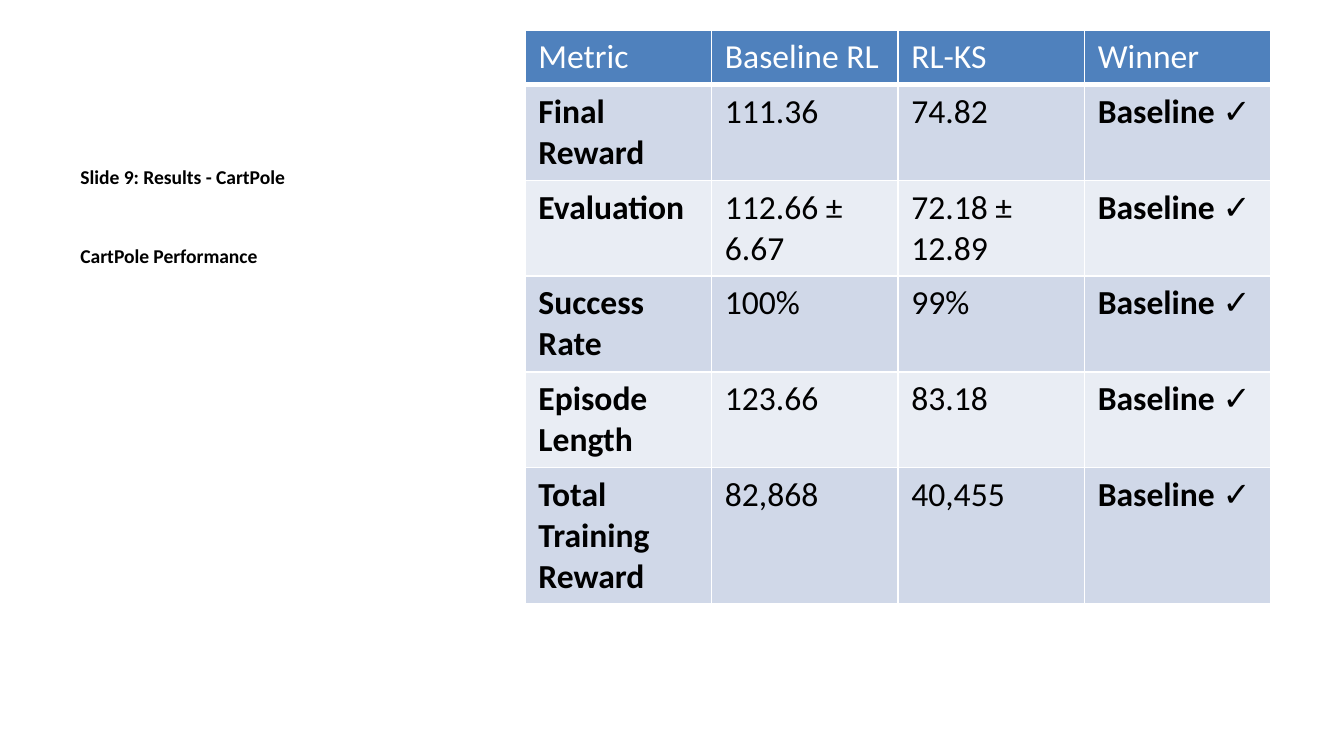
from lxml import etree
from pptx import Presentation
from pptx.dml.color import RGBColor
from pptx.enum.text import MSO_ANCHOR, PP_ALIGN
from pptx.oxml.ns import qn
from pptx.util import Pt

TOP, LEFT = MSO_ANCHOR.TOP, PP_ALIGN.LEFT
PX = 914400 / 134.4
FONT = "Calibri"
COLORS = {
    "text": "000000",
    "header": "4F81BD",
    "band_dark": "D0D8E8",
    "band_light": "E9EDF4",
    "white": "FFFFFF",
}
HEADINGS = ["Slide 9: Results - CartPole", "CartPole Performance"]
ROWS = [
    ("Metric", "Baseline RL", "RL-KS", "Winner"),
    ("Final Reward", "111.36", "74.82", "Baseline ✓"),
    ("Evaluation", "112.66 ± 6.67", "72.18 ± 12.89", "Baseline ✓"),
    ("Success Rate", "100%", "99%", "Baseline ✓"),
    ("Episode Length", "123.66", "83.18", "Baseline ✓"),
    ("Total Training Reward", "82,868", "40,455", "Baseline ✓"),
]
ROW_HEIGHTS = [54, 96, 95, 96, 95, 136]


def px(n):
    return round(n * PX)


def rgb(name):
    return RGBColor.from_string(COLORS[name])


def add_run(p, text, size, color, bold):
    r = p.add_run()
    r.text = text
    r.font.name = FONT
    r.font.size = Pt(size)
    r.font.bold = bold
    r.font.color.rgb = rgb(color)


def set_borders(cell, bottom):
    tcPr = cell._tc.get_or_add_tcPr()
    widths = {"a:lnL": 1, "a:lnR": 1, "a:lnT": 1, "a:lnB": bottom}
    for i, (tag, width) in enumerate(widths.items()):
        ln = etree.Element(qn(tag), w=str(Pt(width)))
        fill = etree.SubElement(ln, qn("a:solidFill"))
        etree.SubElement(fill, qn("a:srgbClr"), val=COLORS["white"])
        tcPr.insert(i, ln)


def add_headings(body, x, y, w, h):
    body.left, body.top, body.width, body.height = px(x), px(y), px(w), px(h)
    tf = body.text_frame
    tf.word_wrap = True
    tf.vertical_anchor = TOP
    for i, text in enumerate(HEADINGS):
        p = tf.add_paragraph() if i else tf.paragraphs[0]
        p.alignment = LEFT
        p.space_before = Pt(30)
        add_run(p, text, 10.5, "text", True)


def add_results(s, x, y, w, h):
    cols = len(ROWS[0])
    frame = s.shapes.add_table(len(ROWS), cols, px(x), px(y), px(w), px(h))
    table = frame.table
    for col in table.columns:
        col.width = px(w / cols)
    for i, values in enumerate(ROWS):
        table.rows[i].height = px(ROW_HEIGHTS[i])
        header = i == 0
        fill = "header" if header else "band_dark" if i % 2 else "band_light"
        for j, text in enumerate(values):
            cell = table.cell(i, j)
            cell.fill.solid()
            cell.fill.fore_color.rgb = rgb(fill)
            set_borders(cell, 3 if header else 1)
            bold = not header and j in (0, cols - 1)
            add_run(cell.text_frame.paragraphs[0], text, 18,
                    "white" if header else "text", bold)


def main():
    prs = Presentation()
    prs.slide_width, prs.slide_height = px(1344), px(756)
    s = prs.slides.add_slide(prs.slide_layouts.get_by_name("Content with Caption"))
    for sp in list(s.placeholders):
        if sp.placeholder_format.idx != 2:
            sp.element.getparent().remove(sp.element)
    add_headings(s.placeholders[2], 67, 158, 442, 518)
    add_results(s, 525, 30, 746, sum(ROW_HEIGHTS))
    prs.save("out.pptx")


if __name__ == "__main__":
    main()
